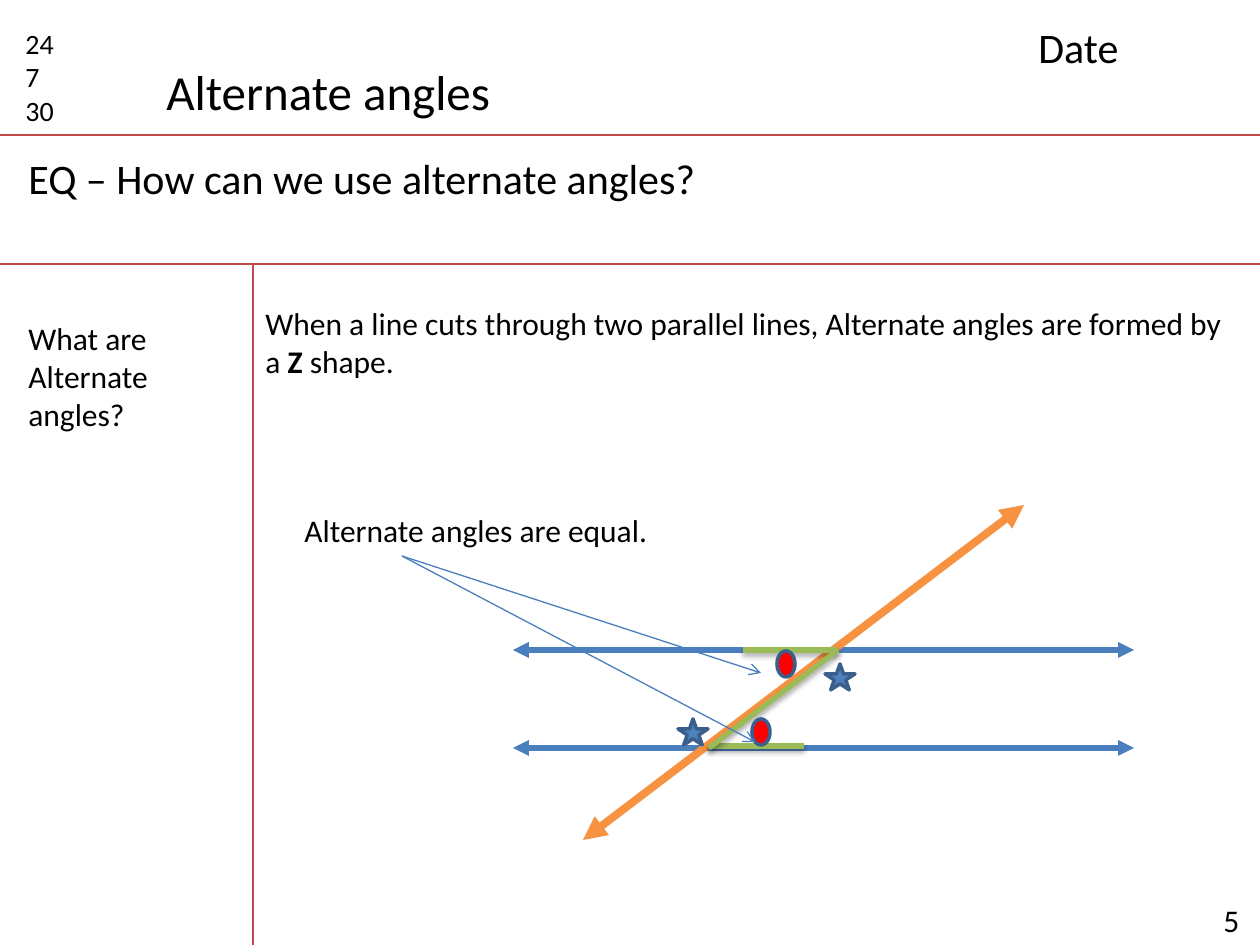
from lxml import etree
from pptx import Presentation
from pptx import util as u
from pptx.dml.color import RGBColor
from pptx.enum import shapes, text
from pptx.oxml.ns import qn

PX = 914400 / 126
BLACK = RGBColor(0x00, 0x00, 0x00)
RULE_RED = RGBColor(0xBF, 0x4C, 0x48)
LINE_BLUE = RGBColor(0x4B, 0x7E, 0xBC)
ORANGE = RGBColor(0xF6, 0x92, 0x40)
GREEN = RGBColor(0x9B, 0xBB, 0x59)
RED = RGBColor(0xFF, 0x00, 0x00)
STAR_BLUE = RGBColor(0x4F, 0x81, 0xBD)
OUTLINE = RGBColor(0x3A, 0x5F, 0x8C)


def emu(px):
    return u.Emu(round(px * PX))


def add_text(slide, box, paragraphs, size, wrap=True):
    label = slide.shapes.add_textbox(*map(emu, box))
    frame = label.text_frame
    frame.word_wrap = wrap
    frame.auto_size = text.MSO_AUTO_SIZE.SHAPE_TO_FIT_TEXT
    for index, runs in enumerate(paragraphs):
        paragraph = frame.paragraphs[0] if index == 0 else frame.add_paragraph()
        for words, bold in runs:
            run = paragraph.add_run()
            run.text = words
            run.font.name = "Calibri"
            run.font.size = u.Pt(size)
            run.font.bold = bold
            run.font.color.rgb = BLACK


def add_line(parent, start, end, color, width, head=None, tail=None, shadow=False):
    line = parent.shapes.add_connector(
        shapes.MSO_CONNECTOR.STRAIGHT, *map(emu, (*start, *end)))
    line.line.color.rgb = color
    line.line.width = u.Pt(width)
    properties = line._element.spPr
    outline = properties.find(qn("a:ln"))
    for tag, kind in (("a:headEnd", head), ("a:tailEnd", tail)):
        if kind:
            etree.SubElement(outline, qn(tag), type=kind)
    effects = etree.SubElement(properties, qn("a:effectLst"))
    if shadow:
        outer = etree.SubElement(
            effects, qn("a:outerShdw"), blurRad=str(u.Pt(3.1)), dist=str(u.Pt(1.8)),
            dir="5400000", rotWithShape="0")
        shade = etree.SubElement(outer, qn("a:srgbClr"), val=str(BLACK))
        etree.SubElement(shade, qn("a:alpha"), val="35000")


def add_marker(slide, kind, box, fill):
    marker = slide.shapes.add_shape(kind, *map(emu, box))
    marker.shadow.inherit = False
    marker.fill.solid()
    marker.fill.fore_color.rgb = fill
    marker.line.color.rgb = OUTLINE
    marker.line.width = u.Pt(2)


def note_rules(slide, width, height, header, question, margin):
    for y in (header, question):
        add_line(slide, (0, y), (width, y), RULE_RED, 0.75)
    add_line(slide, (margin, question), (margin, height), RULE_RED, 0.75)


def heading(slide, x, y):
    add_text(slide, (x + 13, y + 20, 79, 115),
             [[(number, False)] for number in ("24", "7", "30")], 16)
    add_text(slide, (x + 154, y + 55, 353, 72), [[("Alternate angles", False)]], 28, False)
    add_text(slide, (x + 1026, y + 15, 218, 63), [[("Date", False)]], 24)


def essential_question(slide, x, y):
    add_text(slide, (x + 16, y + 11, 1188, 63),
             [[("EQ – How can we use alternate angles?", False)]], 24)


def notes_body(slide, x, y):
    add_text(slide, (x + 16, y + 49, 237, 127),
             [[("What are Alternate angles?", False)]], 18)
    add_text(slide, (x + 253, y + 34, 990, 89), [[
        ("When a line cuts through two parallel lines, "
         "Alternate angles are formed by a ", False),
        ("Z ", True), ("shape.", False)]], 18)


def angle_diagram(slide, x, y):
    def at(dx, dy):
        return x + dx, y + dy

    parallels = slide.shapes.add_group_shape()
    for dy in (145, 243):
        add_line(parallels, at(221, dy), at(842, dy), LINE_BLUE, 3, "triangle", "triangle")
    add_line(slide, at(291, 335), at(732, 0), ORANGE, 4.5, "triangle", "triangle")
    add_text(slide, (x, y, 373, 50), [[("Alternate angles are equal.", False)]], 18, False)

    z_strokes = [((451, 145), (546, 145)), ((417, 241), (512, 241)), ((417, 243), (546, 145))]
    for start, end in z_strokes:
        add_line(slide, at(*start), at(*end), GREEN, 3, shadow=True)
    for spot in ((485, 146), (460, 214)):
        add_marker(slide, shapes.MSO_SHAPE.OVAL, (*at(*spot), 18, 26), RED)
    for target in ((469, 168), (463, 237)):
        add_line(slide, at(110, 51), at(*target), LINE_BLUE, 0.75, tail="arrow")
    for spot in ((533, 159), (386, 214)):
        add_marker(slide, shapes.MSO_SHAPE.STAR_5_POINT, (*at(*spot), 30, 26), STAR_BLUE)


def page_number(slide, x, y):
    add_text(slide, (x, y, 49, 50), [[("5", False)]], 18)


def main():
    deck = Presentation()
    deck.slide_width, deck.slide_height = emu(1260), emu(945)
    slide = deck.slides.add_slide(deck.slide_layouts[6])
    page_number(slide, 1211, 895)
    note_rules(slide, 1260, 945, 135, 264, 253)
    heading(slide, 0, 0)
    essential_question(slide, 0, 135)
    notes_body(slide, 0, 264)
    angle_diagram(slide, 292, 505)
    deck.save("out.pptx")


if __name__ == "__main__":
    main()
